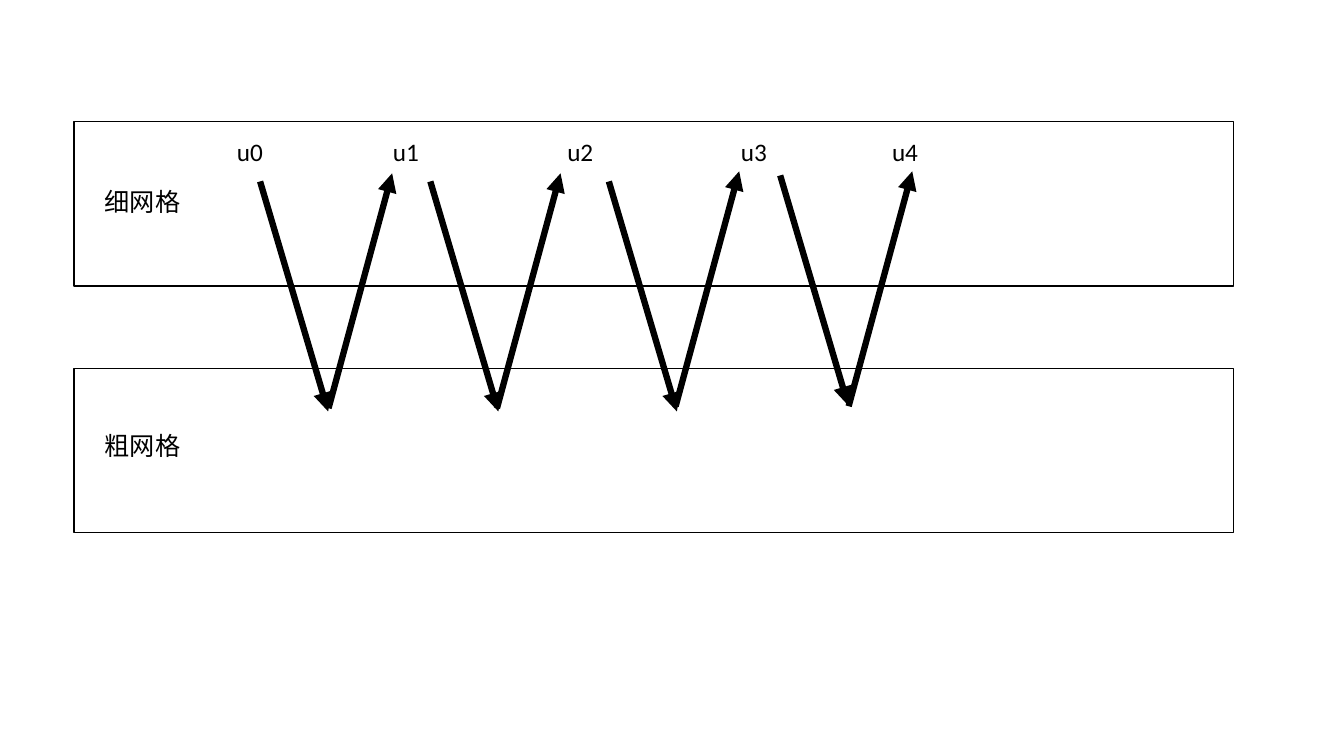
import pptx
import pptx.dml.color
import pptx.enum.shapes
import pptx.enum.text
import pptx.oxml
import pptx.oxml.ns
import pptx.util

Pt = pptx.util.Pt
BLACK = pptx.dml.color.RGBColor(0, 0, 0)


class Diagram:
    """Style and current slide, with one method per kind of element."""

    font, size, color = "Calibri", 18, BLACK

    def __init__(self, slide):
        self.slide = slide

    def outline(self, preset, left, top, width, height):
        shape = self.slide.shapes.add_shape(
            preset, Pt(left), Pt(top), Pt(width), Pt(height))
        shape.shadow.inherit = False
        shape.fill.background()
        shape.line.color.rgb = self.color
        shape.line.width = Pt(1)

    def label(self, text, left, top, width, stops=()):
        box = self.slide.shapes.add_textbox(
            Pt(left), Pt(top), Pt(width), Pt(29))
        frame = box.text_frame
        frame.word_wrap = True
        frame.auto_size = pptx.enum.text.MSO_AUTO_SIZE.SHAPE_TO_FIT_TEXT
        paragraph = frame.paragraphs[0]
        run = paragraph.add_run()
        run.text = text
        run.font.name = self.font
        run.font.size = Pt(self.size)
        run.font.color.rgb = self.color
        if stops:
            tabs = pptx.oxml.ns.qn("a:tabLst")
            tab_list = paragraph._p.get_or_add_pPr().makeelement(tabs, {})
            paragraph._p.get_or_add_pPr().append(tab_list)
            for stop in stops:
                tab = tab_list.makeelement(
                    pptx.oxml.ns.qn("a:tab"), {"pos": str(Pt(stop)), "algn": "l"})
                tab_list.append(tab)

    def arrow(self, x, y, dx, dy):
        line = self.slide.shapes.add_connector(
            pptx.enum.shapes.MSO_CONNECTOR.STRAIGHT,
            Pt(x), Pt(y), Pt(x + dx), Pt(y + dy))
        line.line.color.rgb = self.color
        line.line.width = Pt(4.5)
        properties = line._element.spPr
        head = properties.makeelement(
            pptx.oxml.ns.qn("a:tailEnd"), {"type": "triangle"})
        line.line._get_or_add_ln().append(head)
        properties.append(
            properties.makeelement(pptx.oxml.ns.qn("a:effectLst"), {}))


deck = pptx.Presentation()
deck.slide_width, deck.slide_height = Pt(960), Pt(540)
diagram = Diagram(deck.slides.add_slide(deck.slide_layouts[6]))

# Two grid levels: the bars of one equal sign
diagram.outline(pptx.enum.shapes.MSO_SHAPE.MATH_EQUAL, -96.5, -15.8, 1126.8, 499)
for level, top in (("细网格", 129.6), ("粗网格", 303.8)):
    diagram.label(level, 67.7, top, 134.6)

# V cycles: restriction down to the coarse grid, correction back up
RESTRICTION = (48.6, 164.3)
CORRECTION = (45.4, -167.8)
V_CYCLES = [
    ((185.8, 129.6), (234.7, 291.6)),
    ((307.4, 129.6), (355, 291.6)),
    ((434.9, 129.6), (482.6, 290.2)),
    ((557.3, 125.3), (606.2, 290.2)),
]
for fine_start, coarse_start in V_CYCLES:
    diagram.arrow(*fine_start, *RESTRICTION)
    diagram.arrow(*coarse_start, *CORRECTION)

# Iterates on the fine grid, set on tab stops
iterates = "".join(f"\tu{step}" for step in range(5))
diagram.label(iterates, 154.1, 93.6, 562.3, stops=(8, 119.5, 244, 368, 476))

deck.save("out.pptx")
